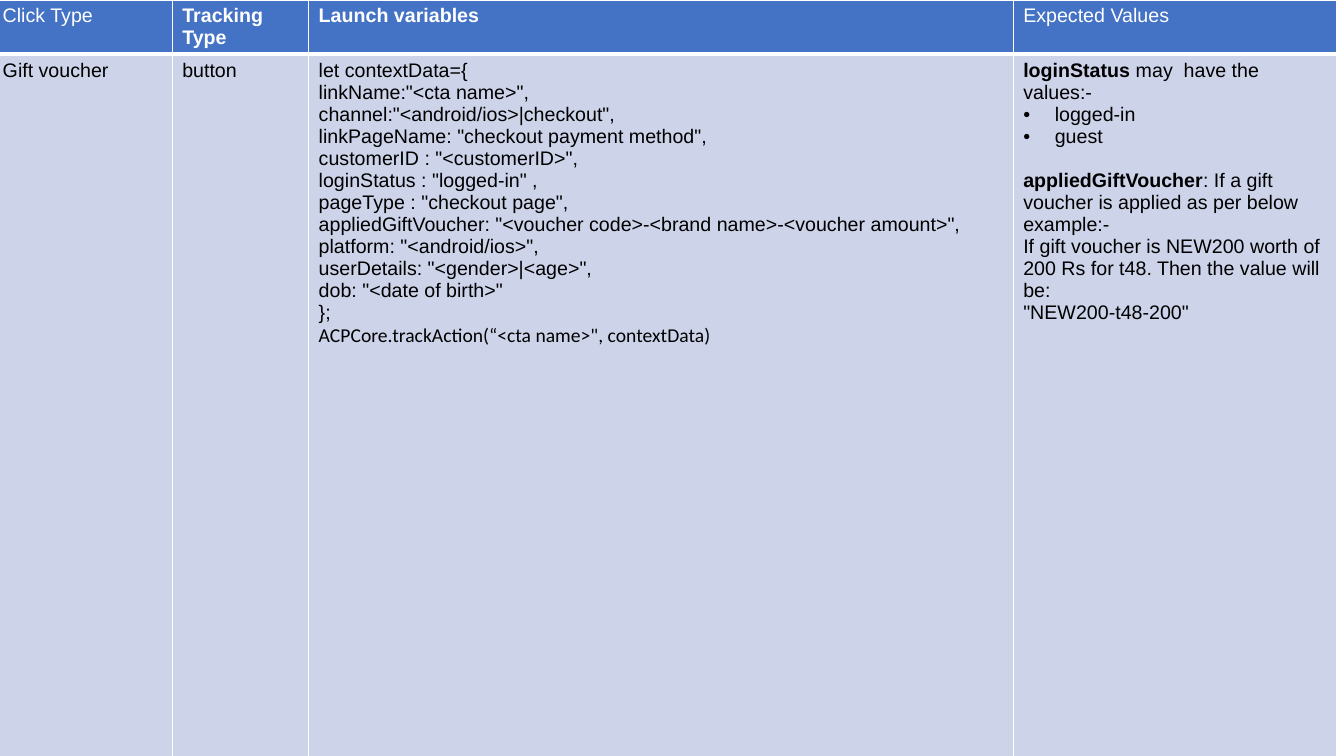
from lxml import etree
from pptx import Presentation
from pptx import util as u
from pptx.dml.color import RGBColor
from pptx.oxml import ns

PX = 9525
WHITE = RGBColor(0xFF, 0xFF, 0xFF)
BLACK = RGBColor(0x00, 0x00, 0x00)
HEADER_BLUE = RGBColor(0x44, 0x72, 0xC4)
BODY_BLUE = RGBColor(0xCD, 0xD4, 0xEA)

COLUMN_WIDTHS = [171, 130, 671, 308]
ROW_HEIGHTS = [36, 684]
HEADINGS = [("Click Type", False), ("Tracking Type", True),
            ("Launch variables", True), ("Expected Values", False)]
LAUNCH_CODE = """let contextData={
linkName:"<cta name>",
channel:"<android/ios>|checkout",
linkPageName: "checkout payment method",
customerID : "<customerID>",
loginStatus : "logged-in" ,
pageType : "checkout page",
appliedGiftVoucher: "<voucher code>-<brand name>-<voucher amount>",
platform: "<android/ios>",
userDetails: "<gender>|<age>",
dob: "<date of birth>"
};"""
TRACK_CALL = 'ACPCore.trackAction(“<cta name>", contextData)'


def line(*runs, bullet=False, space_before=0):
    """Describe one paragraph by its runs and layout."""
    return {"runs": runs, "bullet": bullet, "space_before": space_before}


EXPECTED_VALUES = [
    line(("loginStatus ", {"bold": True}), ("may  have the values:-", {})),
    line(("logged-in", {}), bullet=True),
    line(("guest", {}), bullet=True),
    line(("appliedGiftVoucher", {"bold": True}),
         (": If a gift voucher is applied as per below example:-", {}), space_before=16),
    line(("If gift voucher is NEW200 worth of 200 Rs for t48. Then the value will be:", {})),
    line(('"NEW200-t48-200"', {})),
]
BODY_CELLS = [
    [line(("Gift voucher", {}))],
    [line(("button", {}))],
    [line((code, {})) for code in LAUNCH_CODE.splitlines()]
    + [line((TRACK_CALL, {"name": "Calibri"}))],
    EXPECTED_VALUES,
]


def add_bullet(paragraph):
    """Give the paragraph a black round bullet with a hanging indent."""
    properties = paragraph._p.get_or_add_pPr()
    properties.set("marL", str(30 * PX))
    properties.set("indent", str(-30 * PX))
    color = etree.SubElement(properties, ns.qn("a:buClr"))
    etree.SubElement(color, ns.qn("a:srgbClr"), val=str(BLACK))
    etree.SubElement(properties, ns.qn("a:buFont"), typeface="Arial")
    etree.SubElement(properties, ns.qn("a:buChar"), char="•")


def add_borders(cell, widths):
    """Draw white cell borders with the given point widths."""
    properties = cell._tc.get_or_add_tcPr()
    for side, width in widths.items():
        border = etree.SubElement(properties, ns.qn(f"a:ln{side}"), w=str(u.Pt(width)))
        fill = etree.SubElement(border, ns.qn("a:solidFill"))
        etree.SubElement(fill, ns.qn("a:srgbClr"), val=str(WHITE))


def fill_cell(cell, lines, background, color, borders):
    """Style one cell and write its paragraphs."""
    add_borders(cell, borders)
    cell.fill.solid()
    cell.fill.fore_color.rgb = background
    frame = cell.text_frame
    for index, item in enumerate(lines):
        paragraph = frame.add_paragraph() if index else frame.paragraphs[0]
        if item["bullet"]:
            add_bullet(paragraph)
        if item["space_before"]:
            paragraph.space_before = u.Pt(item["space_before"])
        for content, changes in item["runs"]:
            run = paragraph.add_run()
            run.text = content
            formats = {"name": "Arial", "size": u.Pt(14), "bold": False} | changes
            for key, value in formats.items():
                setattr(run.font, key, value)
            run.font.color.rgb = color


def add_tracking_table(slide, left, top, widths, heights):
    """Place the tracking table with its header and body rows."""
    shape = slide.shapes.add_table(len(heights), len(widths), left * PX, top * PX,
                                   sum(widths) * PX, sum(heights) * PX)
    table = shape.table
    for column, width in zip(table.columns, widths):
        column.width = width * PX
    for row, height in zip(table.rows, heights):
        row.height = height * PX
    header_cells = [[line((heading, {"bold": bold}))] for heading, bold in HEADINGS]
    rows = [
        (header_cells, HEADER_BLUE, WHITE, {"L": 1, "R": 1, "T": 1, "B": 3}),
        (BODY_CELLS, BODY_BLUE, BLACK, {"L": 1, "R": 1, "T": 3, "B": 1}),
    ]
    for row_index, (cells, background, color, borders) in enumerate(rows):
        for column_index, lines in enumerate(cells):
            fill_cell(table.cell(row_index, column_index), lines, background, color, borders)


def main():
    """Build and save the presentation."""
    presentation = Presentation()
    presentation.slide_width = 1280 * PX
    presentation.slide_height = 720 * PX
    slide = presentation.slides.add_slide(presentation.slide_layouts[6])
    add_tracking_table(slide, -7, 0, COLUMN_WIDTHS, ROW_HEIGHTS)
    presentation.save("out.pptx")


if __name__ == "__main__":
    main()
